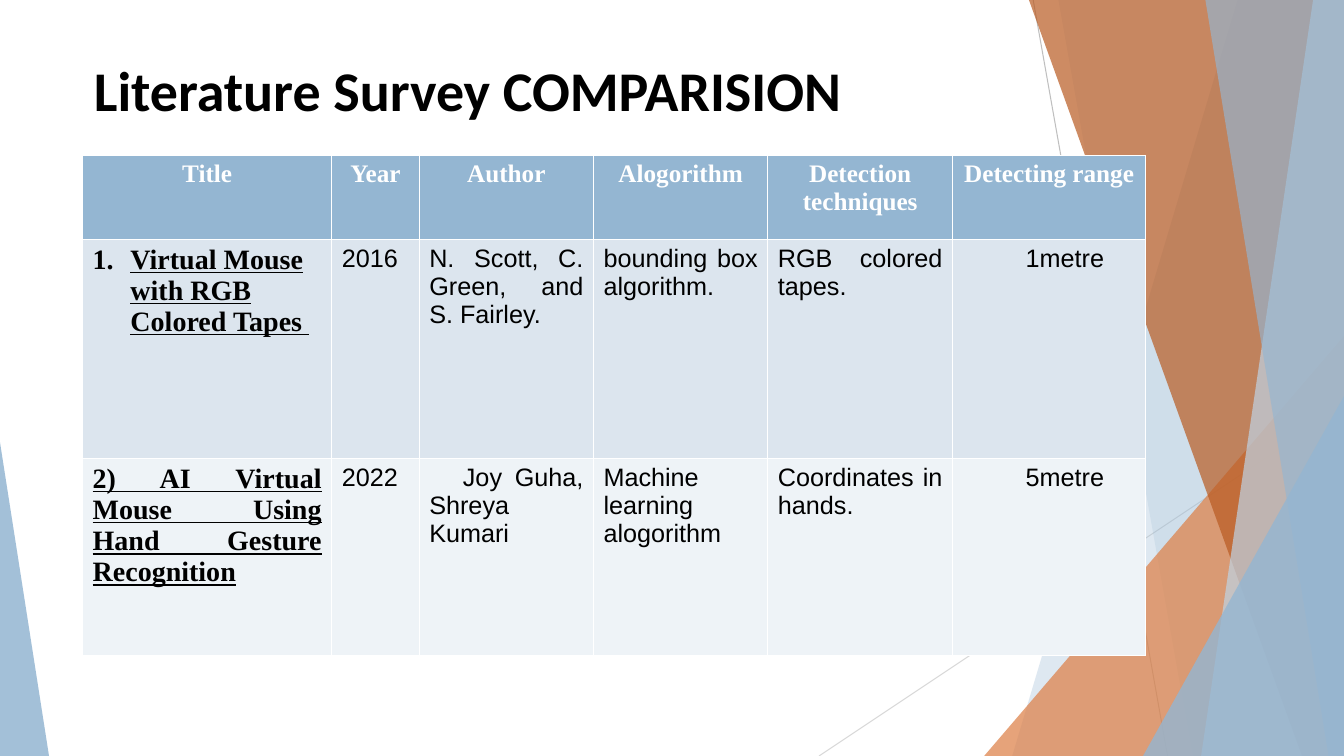
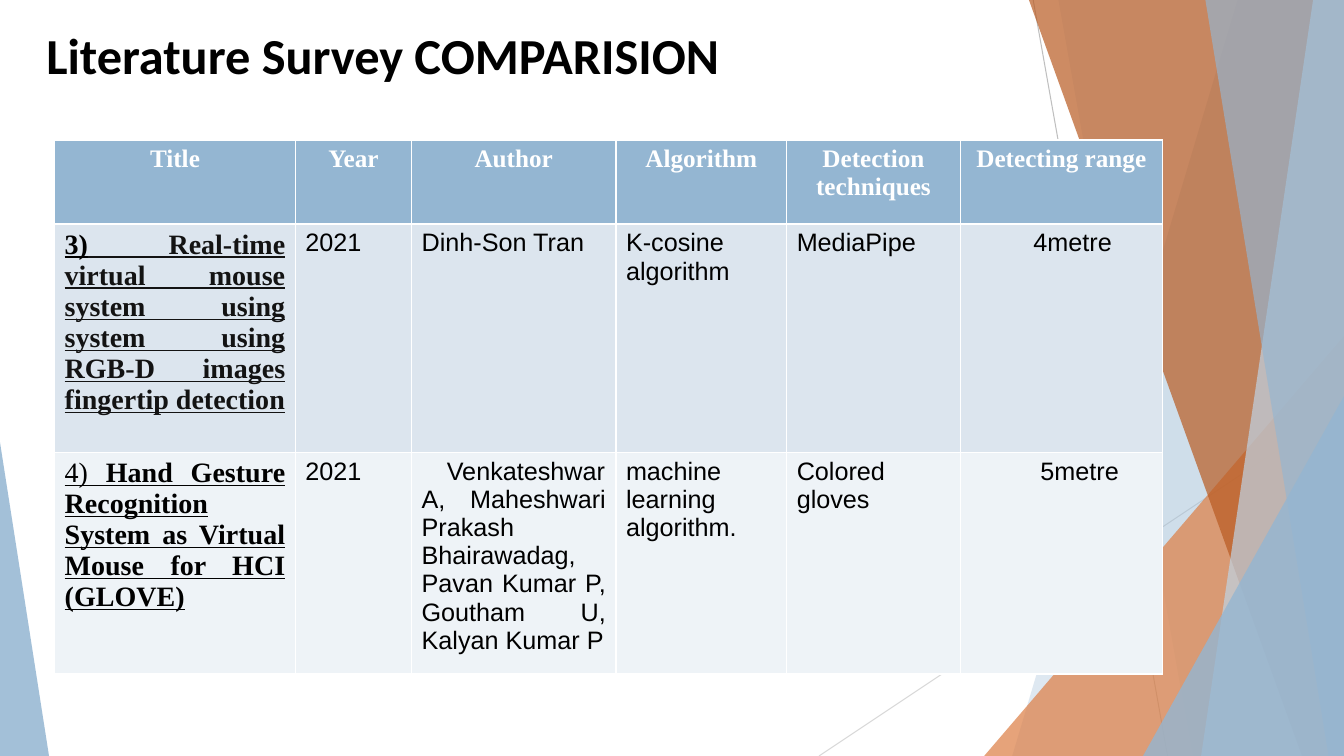
from lxml.etree import SubElement
from pptx import Presentation
from pptx.dml.color import RGBColor
from pptx.enum.shapes import MSO_CONNECTOR as Connector, MSO_SHAPE as Preset
from pptx.enum.text import MSO_ANCHOR as Anchor, PP_ALIGN as Align
from pptx.oxml.ns import qn
from pptx.util import Pt

WIDTH, HEIGHT = 960, 540
COLORS = {
    "black": "000000", "ink": "131313", "white": "FFFFFF",
    "blue": "94B6D2", "pale_blue": "BFD3E4",
    "orange": "DD8047", "rust": "B95B22",
    "grey": "BFBFBF", "light_grey": "D9D9D9",
    "row_dark": "DCE5EE", "row_light": "EEF3F7",
}
FORMATS = {
    "heading": {"name": "Calibri", "bold": True},
    "header": {"name": "Times New Roman", "size": Pt(18), "bold": True},
    "paper": {"name": "Times New Roman", "size": Pt(20), "bold": True, "underline": True},
    "body": {"name": "Arial", "size": Pt(18), "bold": False},
}
RAYS = [(738, 0, 834, 540, "grey"), (960, 290, 585, 540, "light_grey")]
SHARDS = [
    ("band", (884, 723), "blue", 30),
    ("band", (756, 852), "blue", 20),
    ("triangle", (703, 240, 257, 1), "orange", 72),
    ("band", (735, 930), "rust", 70),
    ("band", (938, 858), "pale_blue", 70),
    ("band", (861, 949), "blue", 65),
    ("triangle", (816.5, 283, 143.5, 1), "blue", 80),
    ("triangle", (0, 316, 35, 0), "blue", 85),
]


def color(name):
    return RGBColor.from_string(COLORS[name])


class SurveyDeck:
    def __init__(self):
        self.presentation = Presentation()
        self.presentation.slide_width = Pt(WIDTH)
        self.presentation.slide_height = Pt(HEIGHT)
        self.slide = None

    def add_slide(self):
        self.slide = self.presentation.slides.add_slide(self.presentation.slide_layouts[6])
        for ray in RAYS:
            self.ray(*ray)
        for kind, geometry, fill, opacity in SHARDS:
            self.paint(getattr(self, kind)(*geometry), fill, opacity)

    def ray(self, left, top, right, bottom, line):
        connector = self.slide.shapes.add_connector(
            Connector.STRAIGHT, Pt(left), Pt(top), Pt(right), Pt(bottom))
        connector.line.color.rgb = color(line)
        connector.line.width = Pt(0.75)
        SubElement(connector.line._get_or_add_ln().getparent(), qn("a:effectLst"))

    def band(self, top_x, bottom_x):
        builder = self.slide.shapes.build_freeform(Pt(top_x), 0)
        corners = [(WIDTH, 0), (WIDTH, HEIGHT), (bottom_x, HEIGHT)]
        builder.add_line_segments([(Pt(x), Pt(y)) for x, y in corners], close=True)
        return builder.convert_to_shape()

    def triangle(self, left, top, width, apex):
        shape = self.slide.shapes.add_shape(
            Preset.ISOSCELES_TRIANGLE, Pt(left), Pt(top), Pt(width), Pt(HEIGHT - top))
        shape.adjustments[0] = apex
        return shape

    def paint(self, shape, fill, opacity):
        shape.shadow.inherit = False
        shape.line.fill.background()
        shape.fill.solid()
        shape.fill.fore_color.rgb = color(fill)
        tint = shape.fill._xPr.find(qn("a:solidFill"))[0]
        SubElement(tint, qn("a:alpha"), val=str(opacity * 1000))

    def run(self, paragraph, text, style, ink="black", **changes):
        run = paragraph.add_run()
        run.text = text
        for name, value in {**FORMATS[style], **changes}.items():
            setattr(run.font, name, value)
        run.font.color.rgb = color(ink)

    def title(self, text, left, top, width, height, size):
        box = self.slide.shapes.add_textbox(Pt(left), Pt(top), Pt(width), Pt(height))
        box.text_frame.word_wrap = True
        box.text_frame.vertical_anchor = Anchor.TOP
        self.run(box.text_frame.paragraphs[0], text, "heading", size=Pt(size))

    def borders(self, cell):
        properties = cell._tc.get_or_add_tcPr()
        for side in ("lnL", "lnR", "lnT", "lnB"):
            line = SubElement(properties, qn(f"a:{side}"), w=str(Pt(1)))
            fill = SubElement(line, qn("a:solidFill"))
            SubElement(fill, qn("a:srgbClr"), val=COLORS["white"])

    def indent(self, paragraph, margin=0, first=0, numbered=False):
        properties = paragraph._p.get_or_add_pPr()
        properties.set("marL", str(Pt(margin)))
        properties.set("indent", str(Pt(first)))
        if numbered:
            SubElement(properties, qn("a:buFont"), typeface="Times New Roman")
            SubElement(properties, qn("a:buAutoNum"), type="arabicPeriod")

    def cell(self, cell, content, style, ink, fill, align):
        self.borders(cell)
        cell.fill.solid()
        cell.fill.fore_color.rgb = color(fill)
        if isinstance(content, str):
            content = {"runs": [(content, {})]}
        paragraph = cell.text_frame.paragraphs[0]
        paragraph.alignment = content.get("align", align)
        if "indent" in content:
            self.indent(paragraph, **content["indent"])
        for text, changes in content["runs"]:
            self.run(paragraph, text, style, **{"ink": ink, **changes})

    def table(self, left, top, widths, heights, rows):
        table = self.slide.shapes.add_table(
            len(rows), len(widths), Pt(left), Pt(top),
            Pt(sum(widths)), Pt(sum(heights))).table
        table.first_row = table.horz_banding = False
        for column, width in zip(table.columns, widths):
            column.width = Pt(width)
        for index, (row, height) in enumerate(zip(rows, heights)):
            table.rows[index].height = Pt(height)
            for position, content in enumerate(row):
                cell = table.cell(index, position)
                if index == 0:
                    self.cell(cell, content, "header", "white", "blue", Align.CENTER)
                else:
                    self.cell(cell, content, "body" if position else "paper", "black",
                              "row_dark" if index % 2 else "row_light", Align.JUSTIFY)


def indented(text, **indent):
    return {"runs": [(text, {})], "indent": indent}


def header(algorithm):
    return ["Title", "Year", "Author", algorithm, "Detection techniques", "Detecting range"]


SURVEYS = [
    {
        "title": (60, 36, 750, 50, 40),
        "grid": (59, 111, [178, 62.5, 124.5, 124.5, 132, 138], [60, 156.5, 140.5]),
        "rows": [
            header("Alogorithm"),
            [{"runs": [("Virtual Mouse with RGB Colored Tapes ", {})], "align": Align.LEFT,
              "indent": {"margin": 27, "first": -27, "numbered": True}},
             "2016", "N. Scott, C. Green, and S. Fairley.", "bounding box algorithm.",
             "RGB colored tapes.", indented("1metre", margin=45)],
            ["2) AI Virtual Mouse Using Hand Gesture Recognition", "2022",
             indented("Joy Guha, Shreya Kumari", first=24), "Machine learning alogorithm",
             "Coordinates in hands.", indented("5metre", margin=45)],
        ],
    },
    {
        "title": (26, 14, 778, 58, 36),
        "grid": (39, 100, [172, 83, 146, 122, 124, 144.5], [60, 163, 156]),
        "rows": [
            header("Algorithm"),
            [{"runs": [("3)", {}),
                       (" Real-time virtual mouse system using system using RGB-D images"
                        " fingertip detection", {"ink": "ink"})]},
             "2021", "Dinh-Son Tran", "K-cosine algorithm", "MediaPipe",
             indented("4metre", margin=45)],
            [{"runs": [("4)", {"bold": False}),
                       (" Hand Gesture Recognition System as Virtual Mouse for HCI (GLOVE)", {})]},
             "2021",
             indented("Venkateshwar A, Maheshwari Prakash Bhairawadag, Pavan Kumar P, "
                      "Goutham U, Kalyan Kumar P", first=18),
             "machine learning algorithm.", "Colored gloves", indented("5metre", margin=50)],
        ],
    },
]


def main():
    deck = SurveyDeck()
    for survey in SURVEYS:
        deck.add_slide()
        deck.title("Literature Survey COMPARISION", *survey["title"])
        deck.table(*survey["grid"], survey["rows"])
    deck.presentation.save("out.pptx")


if __name__ == "__main__":
    main()
